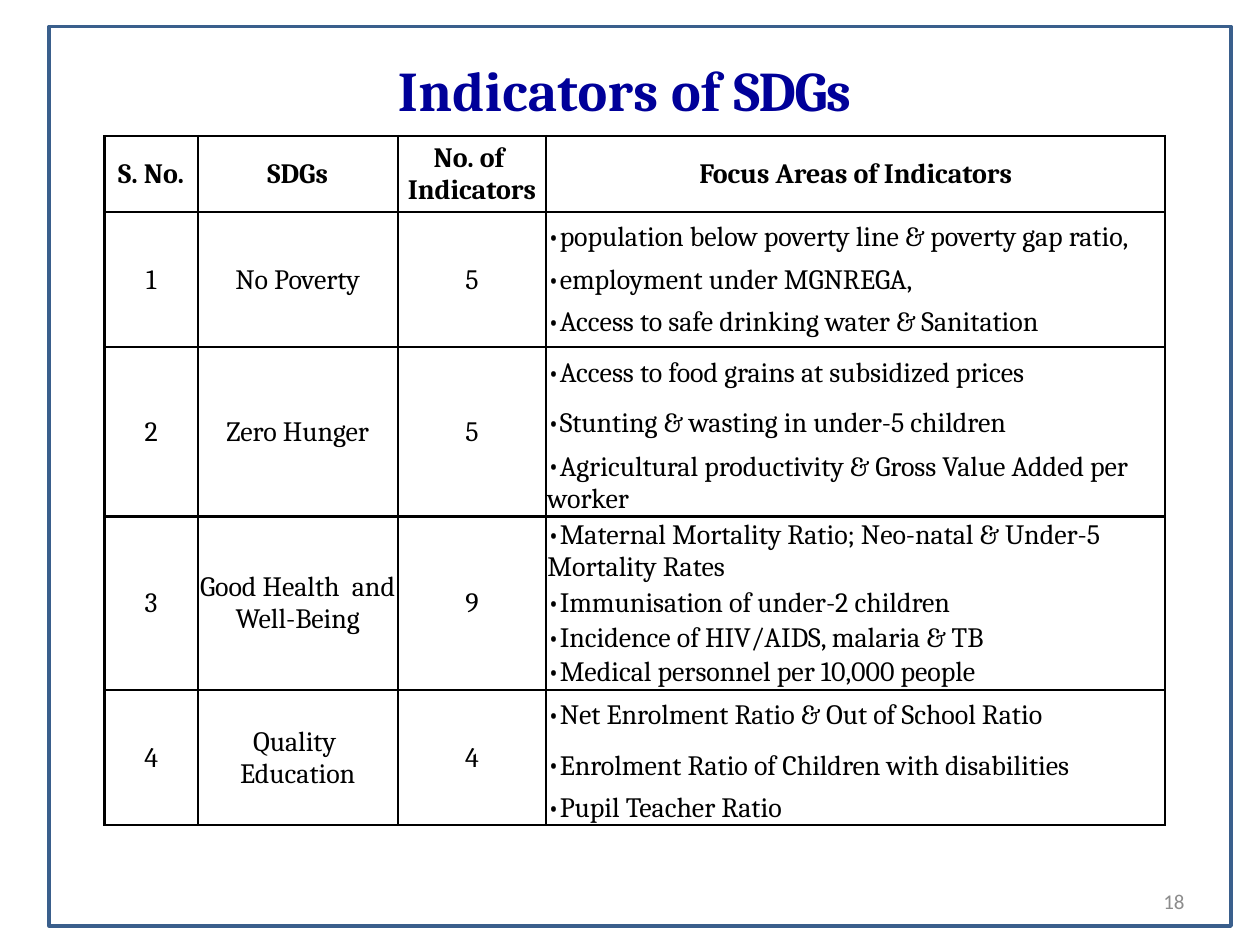
from lxml import etree
from pptx import Presentation
from pptx.dml.color import RGBColor
from pptx.enum.shapes import MSO_SHAPE
from pptx.enum.text import MSO_ANCHOR, PP_ALIGN
from pptx.oxml.ns import qn
from pptx.util import Inches, Pt

RECT = MSO_SHAPE.RECTANGLE
MIDDLE = MSO_ANCHOR.MIDDLE
LEFT, CENTER, RIGHT = PP_ALIGN.LEFT, PP_ALIGN.CENTER, PP_ALIGN.RIGHT
SERIF = "Cambria"
HUES = {"paper": "FFFFFF", "ink": "000000", "title": "000099",
        "frame": "3A5F8C", "page": "8C8C8C"}
COLS = [0.74, 1.59, 1.18, 4.92]
HEADS = ["S. No.", "SDGs", "No. of  Indicators", "Focus Areas of Indicators"]
HEAD_ROW = 0.6
GOALS = [
    ("No Poverty", "5", [
        (0.4, "population below poverty line & poverty gap ratio,"),
        (0.22, "employment under MGNREGA,"),
        (0.4, "Access to safe drinking water & Sanitation")]),
    ("Zero Hunger", "5", [
        (0.4, "Access to food grains at subsidized prices"),
        (0.4, "Stunting & wasting in under-5 children"),
        (0.42, "Agricultural productivity & Gross Value Added per worker")]),
    ("Good Health  and Well-Being", "9", [
        (0.42, "Maternal Mortality Ratio; Neo-natal & Under-5 Mortality Rates"),
        (0.22, "Immunisation of under-2 children"),
        (0.22, "Incidence of HIV/AIDS, malaria & TB"),
        (0.22, "Medical personnel per 10,000 people")]),
    ("Quality  Education", "4", [
        (0.4, "Net Enrolment Ratio & Out of School Ratio"),
        (0.4, "Enrolment Ratio of Children with disabilities"),
        (0.22, "Pupil Teacher Ratio")]),
]


def color(name):
    """Return the named colour."""
    return RGBColor.from_string(HUES[name])


def style(para, size, hue, face=SERIF, bold=False, align=CENTER):
    """Set the font and alignment of a paragraph."""
    para.alignment = align
    font = para.font
    font.name, font.size, font.bold = face, Pt(size), bold
    font.color.rgb = color(hue)


def add_box(slide, left, top, width, height):
    """Add a wrapped, middle-anchored text box and return its paragraph."""
    box = slide.shapes.add_textbox(
        Inches(left), Inches(top), Inches(width), Inches(height))
    frame = box.text_frame
    frame.word_wrap = True
    frame.vertical_anchor = MIDDLE
    frame.margin_top = frame.margin_bottom = 0
    return frame.paragraphs[0]


def add_frame(slide, left, top, width, height):
    """Draw the outline around the slide."""
    rect = slide.shapes.add_shape(
        RECT, Inches(left), Inches(top), Inches(width), Inches(height))
    rect.shadow.inherit = False
    rect.fill.background()
    rect.line.color.rgb = color("frame")
    rect.line.width = Pt(2)


def add_title(slide, left, top, width, height):
    """Write the heading with its letter spacing."""
    para = add_box(slide, left, top, width, height)
    for text, gap in (("Indicators of ", 20), ("SDGs ", -80)):
        run = para.add_run()
        run.text = text
        run._r.get_or_add_rPr().set("spc", str(gap))
    style(para, 32, "title", bold=True)


def add_page(slide, left, top, width, height):
    """Write the page number."""
    para = add_box(slide, left, top, width, height)
    para.text = "18"
    style(para, 12, "page", "Calibri", align=RIGHT)


def add_bullet(para):
    """Give a paragraph a round bullet without indent."""
    props = para._p.get_or_add_pPr()
    props.set("marL", "0")
    props.set("indent", "0")
    tint = etree.SubElement(props, qn("a:buClr"))
    etree.SubElement(tint, qn("a:srgbClr"), val=HUES["ink"])
    etree.SubElement(props, qn("a:buFont"), typeface=SERIF)
    etree.SubElement(props, qn("a:buChar"), char="•")


def dress(cell, sides):
    """Set fill, margins and the listed borders of a cell."""
    props = cell._tc.get_or_add_tcPr()
    for side in "LRTB":
        line = etree.SubElement(props, qn("a:ln" + side), w=str(Pt(1.5)))
        if side in sides:
            fill = etree.SubElement(line, qn("a:solidFill"))
            etree.SubElement(fill, qn("a:srgbClr"), val=HUES["ink"])
        else:
            etree.SubElement(line, qn("a:noFill"))
    cell.fill.solid()
    cell.fill.fore_color.rgb = color("paper")
    cell.vertical_anchor = MIDDLE
    cell.margin_left = cell.margin_right = cell.margin_top = Inches(0.01)
    cell.margin_bottom = 0


def write(cell, text, bold=False, bullet=False):
    """Put text in a cell."""
    para = cell.text_frame.paragraphs[0]
    para.text = text
    if bullet:
        add_bullet(para)
    style(para, 16, "ink", bold=bold, align=LEFT if bullet else CENTER)


def add_goals(slide, left, top, width):
    """Build the table of goals and their focus areas."""
    rows = [HEAD_ROW] + [tall for goal in GOALS for tall, _ in goal[2]]
    table = slide.shapes.add_table(
        len(rows), len(COLS), Inches(left), Inches(top),
        Inches(width), Inches(sum(rows))).table
    for row, tall in zip(table.rows, rows):
        row.height = Inches(tall)
    for col, wide in zip(table.columns, COLS):
        col.width = Inches(wide * width / sum(COLS))
    for col, text in enumerate(HEADS):
        dress(table.cell(0, col), "LRTB")
        write(table.cell(0, col), text, bold=True)
    first = 1
    for number, (name, count, areas) in enumerate(GOALS, 1):
        last = first + len(areas) - 1
        for row, (_, area) in enumerate(areas, first):
            sides = "LR" + "T" * (row == first) + "B" * (row == last)
            for col in range(3):
                dress(table.cell(row, col), "LRTB")
            dress(table.cell(row, 3), sides)
            write(table.cell(row, 3), area, bullet=True)
        for col, text in enumerate((str(number), name, count)):
            cell = table.cell(first, col)
            cell.merge(table.cell(last, col))
            write(cell, text)
        first = last + 1


def main():
    """Build and save the slide."""
    deck = Presentation()
    deck.slide_width, deck.slide_height = Inches(10), Inches(7.5)
    slide = deck.slides.add_slide(deck.slide_layouts[6])
    add_frame(slide, 0.39, 0.21, 9.38, 7.14)
    add_title(slide, 0.5, 0.48, 9, 0.45)
    add_page(slide, 7.17, 6.95, 2.33, 0.4)
    add_goals(slide, 0.83, 1.08, 8.42)
    deck.save("out.pptx")


if __name__ == "__main__":
    main()
